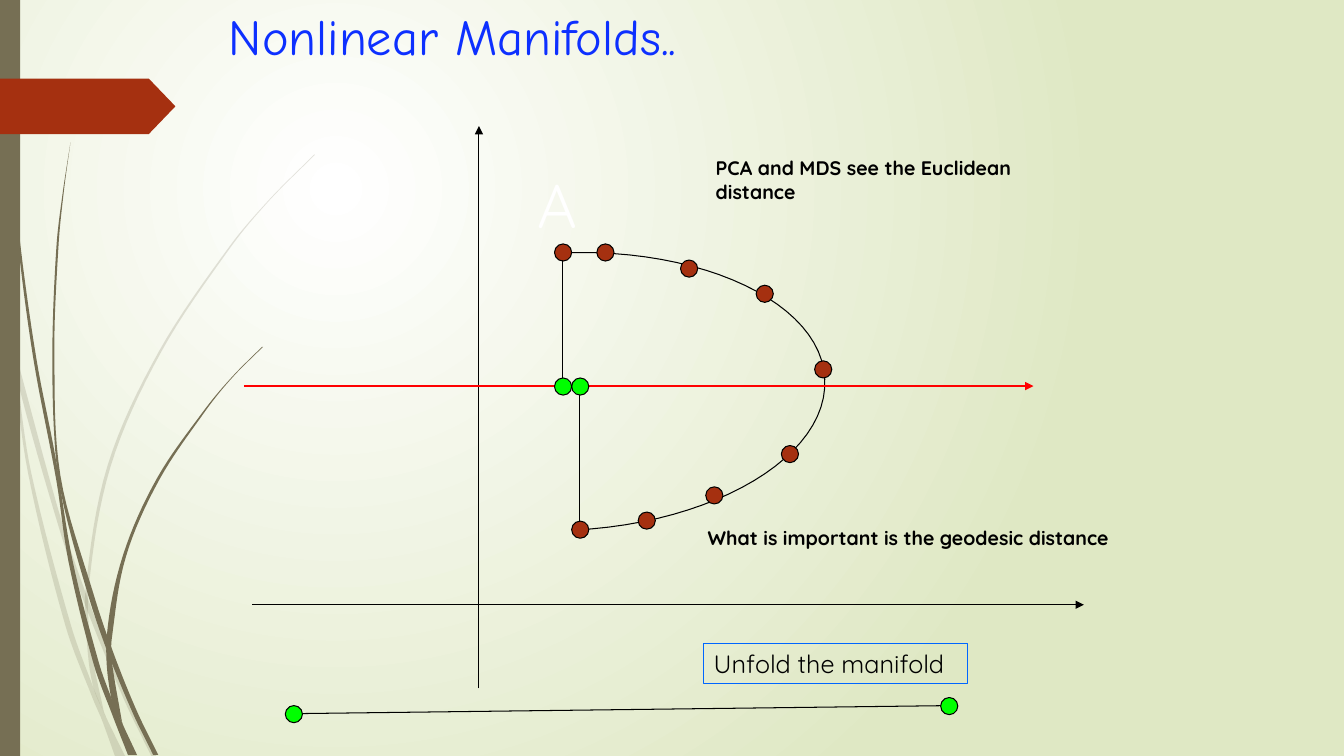
"""Draw the slide on nonlinear manifolds."""
import pptx
import pptx.dml.color
import pptx.enum.shapes
import pptx.enum.text
import pptx.oxml
import pptx.oxml.ns
import pptx.util
import lxml.etree

Inches = pptx.util.Inches
Pt = pptx.util.Pt
SHAPE = pptx.enum.shapes.MSO_SHAPE
QN = pptx.oxml.ns.qn

COLORS = {
    "white": "FFFFFF", "pale": "DFE8C4", "olive": "766F54", "rust": "A53010",
    "title": "0D30FF", "black": "000000", "red": "FF0000", "green": "00FF00",
    "frame": "0066FF",
}
FONT = "Quicksand"
SIZE = 0.17

FAINT = [
    ([(0, 2.82), (0.09, 3.22), (0.17, 3.76), (0.31, 4.69), (0.7, 6.19),
      (0.93, 6.83), (1.05, 7.11), (1.24, 7.5)],
     [(1.14, 7.5), (1.01, 7.14), (0.92, 6.93), (0.65, 6.21), (0.28, 4.7),
      (0.11, 3.5), (0, 2.99)]),
    ([(0.14, 3.45), (0.17, 3.76), (0.58, 5.22), (0.84, 5.99), (1.23, 6.94),
      (1.5, 7.5)],
     [(1.55, 7.5), (1.27, 6.92), (0.92, 6.07), (0.62, 5.2), (0.14, 3.45)]),
    ([(3.12, 1.53), (2.68, 1.97), (2.28, 2.44), (1.58, 3.48), (1.07, 4.61),
      (0.85, 5.84), (0.87, 6.46), (0.93, 6.83), (1.05, 7.11)],
     [(1.03, 7.06), (0.91, 6.46), (0.88, 5.84), (1.1, 4.62), (1.6, 3.49),
      (2.29, 2.45), (2.68, 1.98), (3.12, 1.54)]),
]
SOLID = [
    ([(0.04, 0), (0.05, 0.48), (0.08, 1.09), (0.19, 2.32), (0.36, 3.55),
      (0.55, 4.53), (0.72, 5.56), (0.98, 6.57), (1.1, 6.91), (1.22, 7.19),
      (1.36, 7.49)],
     [(1.27, 7.49), (1.11, 7.08), (0.93, 6.59), (0.68, 5.57), (0.56, 4.77),
      (0.33, 3.55), (0.17, 2.33), (0.07, 1.1), (0.03, 0)]),
    ([(0.7, 1.41), (0.62, 1.93), (0.56, 2.45), (0.52, 3.49), (0.55, 4.49),
      (0.64, 5.05), (0.88, 5.92), (1.06, 6.45), (1.32, 7.08), (1.52, 7.49)],
     [(1.57, 7.49), (1.36, 7.06), (1.13, 6.49), (0.93, 5.9), (0.6, 4.72),
      (0.54, 3.49), (0.58, 2.45), (0.63, 1.93), (0.7, 1.41)]),
    ([(2.6, 3.44), (2.31, 3.73), (2.04, 4.05), (1.56, 4.74), (1.22, 5.51),
      (1.06, 6.31), (1.1, 6.91), (1.22, 7.19)],
     [(1.21, 7.16), (1.11, 6.56), (1.11, 6.33), (1.25, 5.52), (1.58, 4.76),
      (2.05, 4.06), (2.31, 3.74), (2.61, 3.44)]),
]
ARCS = [
    [(5.56, 2.51), (6.97, 2.45), (8.15, 3.01), (8.18, 3.76)],
    [(8.18, 3.76), (8.22, 4.52), (7.1, 5.19), (5.69, 5.26)],
]
DOTS = [(5.5, 2.42), (5.67, 5.17), (5.92, 2.42), (8.08, 3.58), (6.75, 2.58),
        (6.33, 5.08), (7.5, 2.83), (7, 4.83), (7.75, 4.42)]


def color(name):
    return pptx.dml.color.RGBColor.from_string(COLORS[name])


def style(shape, fill=None, line=None):
    shape.shadow.inherit = False
    if fill:
        shape.fill.solid()
        shape.fill.fore_color.rgb = color(fill)
    else:
        shape.fill.background()
    if line:
        shape.line.color.rgb = color(line)
        shape.line.width = Pt(0.75)
    else:
        shape.line.fill.background()


def paint(slide):
    fill = slide.background.fill
    fill.gradient()
    for stop, name, place in zip(fill.gradient_stops, ("white", "pale"), (0, 1)):
        stop.color.rgb = color(name)
        stop.position = place
    grad = slide.element.find(".//" + QN("a:gradFill"))
    grad.remove(grad.find(QN("a:lin")))
    ring = lxml.etree.SubElement(grad, QN("a:path"), {"path": "circle"})
    lxml.etree.SubElement(ring, QN("a:fillToRect"),
                          dict(l="50000", t="50000", r="100000", b="100000"))


def smooth(edge, steps=8):
    last = len(edge) - 1
    slopes = []
    for i in range(last + 1):
        (xa, ya), (xb, yb) = edge[max(i - 1, 0)], edge[min(i + 1, last)]
        slopes.append((xb - xa) / (yb - ya))
    points = []
    for i in range(last):
        (xa, ya), (xb, yb) = edge[i], edge[i + 1]
        rise = yb - ya
        for step in range(steps):
            t = step / steps
            ease = t * t * (3 - 2 * t)
            bend = slopes[i] * t * (1 - t) ** 2 - slopes[i + 1] * t * t * (1 - t)
            points.append((xa + (xb - xa) * ease + rise * bend, ya + rise * t))
    return points + [edge[-1]]


def bezier(knots, steps=24):
    points = []
    for step in range(steps + 1):
        t = step / steps
        parts = ((1 - t) ** 3, 3 * t * (1 - t) ** 2, 3 * t * t * (1 - t), t ** 3)
        points.append(tuple(sum(p * k[axis] for p, k in zip(parts, knots))
                            for axis in (0, 1)))
    return points


def trace(slide, points, close, **look):
    pairs = [(Inches(x), Inches(y)) for x, y in points]
    pen = slide.shapes.build_freeform(*pairs[0])
    pen.add_line_segments(pairs[1:], close=close)
    shape = pen.convert_to_shape()
    style(shape, **look)
    return shape


def blade(slide, edges, alpha=None):
    shape = trace(slide, smooth(edges[0]) + smooth(edges[1]), True, fill="olive")
    if alpha:
        tint = shape.element.spPr.find(QN("a:solidFill"))[0]
        lxml.etree.SubElement(tint, QN("a:alpha"), val=str(alpha * 1000))


def block(slide, kind, box, **look):
    shape = slide.shapes.add_shape(kind, *map(Inches, box))
    style(shape, **look)
    return shape


def dot(slide, spot, fill):
    block(slide, SHAPE.OVAL, (*spot, SIZE, SIZE), fill=fill, line="black")


def line(slide, start, end, name="black", width=0.75, arrow=False):
    link = slide.shapes.add_connector(pptx.enum.shapes.MSO_CONNECTOR.STRAIGHT,
                                      *map(Inches, (*start, *end)))
    link.line.color.rgb = color(name)
    link.line.width = Pt(width)
    props = link.element.spPr
    if arrow:
        lxml.etree.SubElement(props.find(QN("a:ln")), QN("a:tailEnd"), type="triangle")
    lxml.etree.SubElement(props, QN("a:effectLst"))


def write(frame, text, size=14, bold=False, name="black", font=FONT, wrap=True):
    frame.text = text
    frame.word_wrap = wrap
    frame.vertical_anchor = pptx.enum.text.MSO_ANCHOR.TOP
    for para in frame.paragraphs:
        para.alignment = pptx.enum.text.PP_ALIGN.LEFT
        para.font.size = Pt(size)
        para.font.bold = bold
        para.font.name = font
        para.font.color.rgb = color(name)


def label(slide, box, text, **form):
    shape = slide.shapes.add_textbox(*map(Inches, box))
    write(shape.text_frame, text, **form)
    return shape


def main():
    deck = pptx.Presentation()
    deck.slide_width, deck.slide_height = Inches(13.33), Inches(7.5)
    slide = deck.slides.add_slide(deck.slide_layouts[5])
    paint(slide)
    for edges in FAINT:
        blade(slide, edges, alpha=20)
    for edges in SOLID:
        blade(slide, edges)
    block(slide, SHAPE.RECTANGLE, (0, 0, 0.2, 7.5), fill="olive")
    tag = block(slide, SHAPE.PENTAGON, (0, 0.78, 1.74, 0.55), fill="rust")
    tag.adjustments[0] = 0.48

    title = slide.shapes.title
    title.left, title.top, title.width, title.height = map(Inches, (2.17, 0, 9, 1.25))
    write(title.text_frame, "Nonlinear Manifolds..", size=36, name="title",
          font="Comic Neue")

    line(slide, (4.75, 6.83), (4.75, 1.25), arrow=True)
    line(slide, (2.5, 6), (10.75, 6), arrow=True)
    trace(slide, bezier(ARCS[0]) + bezier(ARCS[1])[1:], False, line="black")
    for spot in DOTS:
        dot(slide, spot, "rust")
    line(slide, (2.42, 3.83), (10.25, 3.83), name="red", width=2, arrow=True)
    line(slide, (5.58, 2.58), (5.58, 3.83))
    line(slide, (5.75, 5.17), (5.75, 3.83))
    line(slide, (2.92, 7.08), (9.42, 7))
    for spot in ((5.67, 3.75), (5.5, 3.75), (9.33, 6.92), (2.83, 7)):
        dot(slide, spot, "green")

    label(slide, (5.23, 1.61, 0.66, 0.84), "A", size=44, name="white", wrap=False)
    note = label(slide, (6.98, 6.38, 2.62, 0.4), "Unfold the manifold", size=18)
    style(note, line="frame")
    label(slide, (7, 1.5, 3.96, 0.57), "PCA and MDS see the Euclidean\ndistance", bold=True)
    label(slide, (6.92, 5.17, 4.22, 0.34), "What is important is the geodesic distance",
          bold=True, wrap=False)
    deck.save("out.pptx")


if __name__ == "__main__":
    main()
